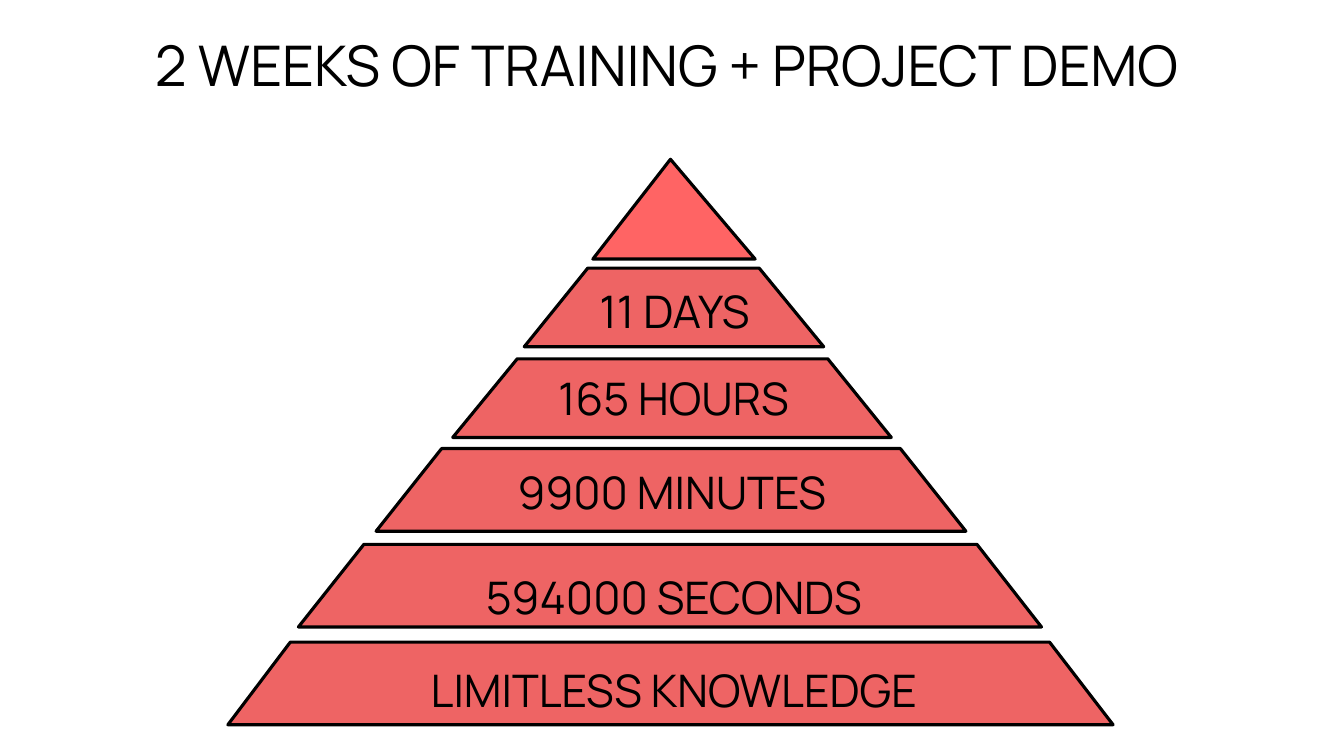
import pptx
import pptx.dml.color
import pptx.enum.text
import pptx.util
from pptx.util import Inches


def colour(value):
    return pptx.dml.color.RGBColor.from_string(value)


class PyramidSlide:
    font = "Manrope"
    ink = "000000"

    def __init__(self, deck):
        self.page = deck.slides.add_slide(deck.slide_layouts[5])

    def set_text(self, box, text, size, bounds, insets, anchor, spacing):
        box.left, box.top, box.width, box.height = map(Inches, bounds)
        frame = box.text_frame
        frame.word_wrap = True
        frame.vertical_anchor = anchor
        (frame.margin_left, frame.margin_top,
         frame.margin_right, frame.margin_bottom) = map(Inches, insets)
        frame.text = text
        para = frame.paragraphs[0]
        para.alignment = pptx.enum.text.PP_ALIGN.CENTER
        para.line_spacing = spacing
        para.font.name = self.font
        para.font.size = pptx.util.Pt(size)
        para.font.color.rgb = colour(self.ink)
        return frame

    def title(self, text, bounds):
        # The right inset nudges the centred line slightly left
        frame = self.set_text(self.page.shapes.title, text, 40, bounds,
                              (0, 0, 0.11, 0), pptx.enum.text.MSO_ANCHOR.TOP, 1.1)
        frame.auto_size = pptx.enum.text.MSO_AUTO_SIZE.NONE

    def label(self, text, bounds, inset, anchor, spacing):
        box = self.page.shapes.add_textbox(0, 0, 0, 0)
        frame = self.set_text(box, text, 32, bounds, (inset,) * 4, anchor, spacing)
        frame.auto_size = pptx.enum.text.MSO_AUTO_SIZE.SHAPE_TO_FIT_TEXT

    def tier(self, top, bottom, upper, lower, fill):
        """Draw one layer from its upper and lower (left, right) edges."""
        points = [(lower[0], bottom)] + [(x, top) for x in upper] + [(lower[1], bottom)]
        corners = [(Inches(x), Inches(y)) for x, y in points]
        outline = self.page.shapes.build_freeform(*corners[0])
        outline.add_line_segments(corners[1:], close=True)
        shape = outline.convert_to_shape()
        shape.shadow.inherit = False
        shape.fill.solid()
        shape.fill.fore_color.rgb = colour(fill)
        shape.line.color.rgb = colour(self.ink)
        shape.line.width = pptx.util.Pt(2.25)


def main():
    deck = pptx.Presentation()
    deck.slide_width, deck.slide_height = Inches(13.33), Inches(7.5)
    slide = PyramidSlide(deck)
    slide.title("2 WEEKS OF TRAINING + PROJECT DEMO", (0, 0.24, 13.33, 1.68))

    # Pyramid layers: top, bottom, upper edge, lower edge, fill
    red, bright_red = "EE6464", "FF6464"
    tiers = [
        (1.58, 2.57, (6.65,), (5.88, 7.49), bright_red),
        (2.66, 3.44, (5.83, 7.53), (5.2, 8.17), red),
        (3.56, 4.34, (5.13, 8.21), (4.49, 8.84), red),
        (4.45, 5.27, (4.38, 8.93), (3.73, 9.58), red),
        (5.4, 6.22, (3.61, 9.69), (2.96, 10.33), red),
        (6.37, 7.19, (2.88, 10.41), (2.26, 11.04), red),
    ]
    for tier in tiers:
        slide.tier(*tier)

    # Layer labels: compact boxes above, wide boxes below
    anchors = pptx.enum.text.MSO_ANCHOR
    compact = (0.05, anchors.TOP, 1.0)
    wide = (0, anchors.MIDDLE, 1.1)
    labels = [
        ("11 DAYS", (5.53, 2.77, 2.32, 0.64), compact),
        ("165 HOURS", (5.25, 3.63, 2.86, 0.64), compact),
        ("9900 MINUTES", (4.54, 4.56, 4.25, 0.64), compact),
        ("594000 SECONDS", (1.79, 5.62, 9.79, 0.54), wide),
        ("LIMITLESS KNOWLEDGE", (1.79, 6.55, 9.79, 0.53), wide),
    ]
    for text, bounds, style in labels:
        slide.label(text, bounds, *style)

    deck.save("out.pptx")


if __name__ == "__main__":
    main()
